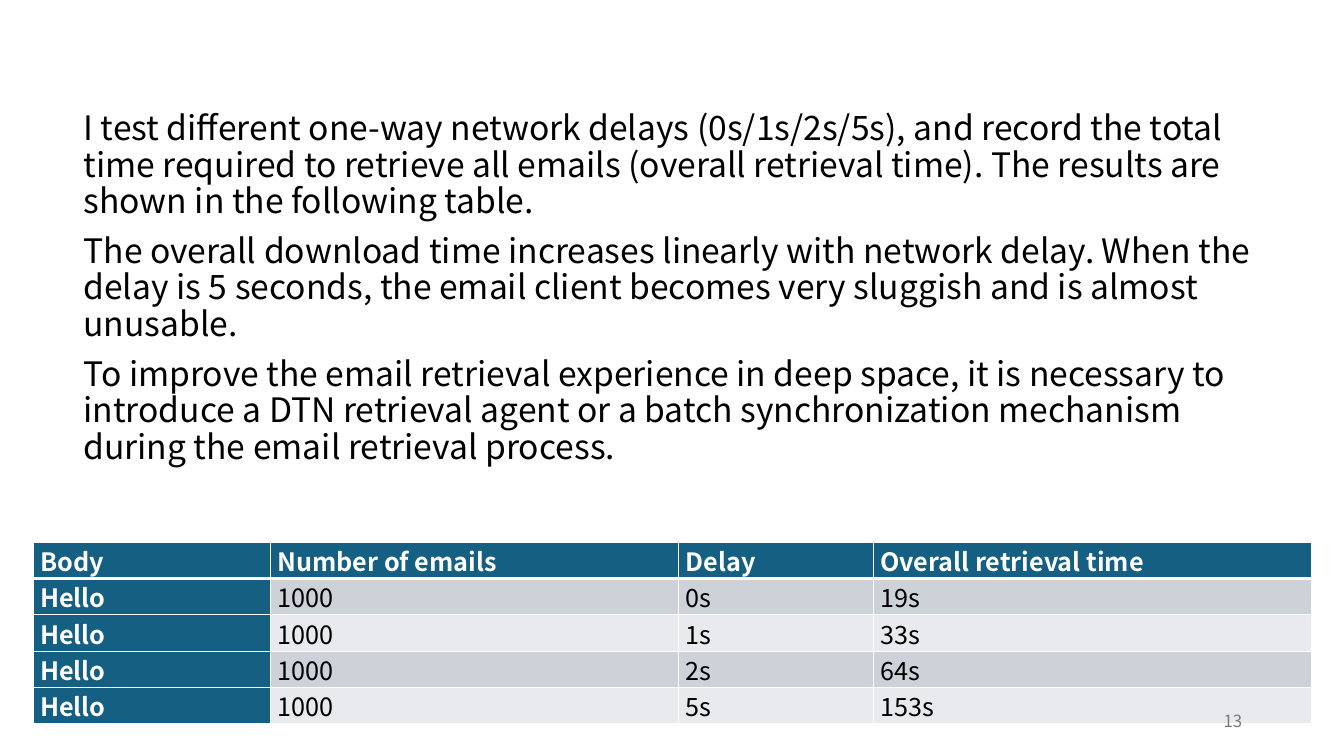
import pptx
import pptx.dml.color
import pptx.enum.text
import pptx.oxml
import pptx.oxml.ns
import pptx.util

Inches = pptx.util.Inches
Pt = pptx.util.Pt
RGBColor = pptx.dml.color.RGBColor

FONT = "Noto Sans CJK SC"
BLACK = RGBColor(0x00, 0x00, 0x00)
WHITE = RGBColor(0xFF, 0xFF, 0xFF)
GREY = RGBColor(0x79, 0x79, 0x79)
TEAL = RGBColor(0x15, 0x60, 0x82)
DARK_BAND = RGBColor(0xCC, 0xD2, 0xD8)
LIGHT_BAND = RGBColor(0xE8, 0xEA, 0xED)

FINDINGS = [
    "I test different one-way network delays (0s/1s/2s/5s), and record the total time "
    "required to retrieve all emails (overall retrieval time). The results are shown in "
    "the following table.",
    "The overall download time increases linearly with network delay. When the delay is "
    "5 seconds, the email client becomes very sluggish and is almost unusable.",
    "To improve the email retrieval experience in deep space, it is necessary to introduce "
    "a DTN retrieval agent or a batch synchronization mechanism during the email retrieval "
    "process.",
]
HEADER = ["Body", "Number of emails", "Delay", "Overall retrieval time"]
RETRIEVAL_TIMES = {"0s": "19s", "1s": "33s", "2s": "64s", "5s": "153s"}
COLUMN_WIDTHS = [2.35, 4.05, 1.93, 4.35]
ROW_HEIGHT = 0.36


def format_runs(paragraph, size, color, bold=False):
    """Apply the slide font to every run of a paragraph."""
    for run in paragraph.runs:
        run.font.name = FONT
        run.font.size = Pt(size)
        run.font.bold = bold
        run.font.color.rgb = color


def add_text(slide, left, top, width, height, text, size, color):
    """Add a wrapping text box and return its text frame."""
    box = slide.shapes.add_textbox(Inches(left), Inches(top), Inches(width), Inches(height))
    text_frame = box.text_frame
    text_frame.word_wrap = True
    text_frame.text = text
    for paragraph in text_frame.paragraphs:
        format_runs(paragraph, size, color)
    return text_frame


def add_findings(slide):
    """Add the three paragraphs above the table."""
    text_frame = add_text(slide, 0.73, 1.06, 11.77, 3.32, "\n".join(FINDINGS), 24, BLACK)
    text_frame.margin_right = 0
    for index, paragraph in enumerate(text_frame.paragraphs):
        paragraph.line_spacing = 0.9
        paragraph.space_before = Pt(10 if index else 0)


def set_borders(cell, widths):
    """Draw white cell borders with a width in points for each side."""
    properties = cell._tc.get_or_add_tcPr()
    namespace = pptx.oxml.ns.nsdecls("a")
    for side, width in widths.items():
        properties.append(pptx.oxml.parse_xml(
            f'<a:ln{side} {namespace} w="{Pt(width)}"><a:solidFill>'
            f'<a:srgbClr val="{WHITE}"/></a:solidFill></a:ln{side}>'))


def fill_cell(cell, text, row, column):
    """Write and style one table cell according to its place."""
    heading = row == 0 or column == 0
    cell.text = text
    cell.margin_left = cell.margin_right = Inches(0.07)
    cell.margin_top = cell.margin_bottom = 0
    format_runs(cell.text_frame.paragraphs[0], 18, WHITE if heading else BLACK, heading)
    set_borders(cell, {"L": 1, "R": 1, "T": 3 if row == 1 else 1, "B": 3 if row == 0 else 1})
    cell.fill.solid()
    band = DARK_BAND if row % 2 else LIGHT_BAND
    cell.fill.fore_color.rgb = TEAL if heading else band


def add_results_table(slide):
    """Add the table of retrieval times by network delay."""
    rows = [HEADER] + [["Hello", "1000", delay, time] for delay, time in RETRIEVAL_TIMES.items()]
    frame = slide.shapes.add_table(
        len(rows), len(HEADER), Inches(0.33), Inches(5.38),
        Inches(sum(COLUMN_WIDTHS)), Inches(ROW_HEIGHT * len(rows)))
    table = frame.table
    table.first_col = True
    for column, width in zip(table.columns, COLUMN_WIDTHS):
        column.width = Inches(width)
    for row, texts in enumerate(rows):
        for column, text in enumerate(texts):
            fill_cell(table.cell(row, column), text, row, column)


def add_slide_number(slide):
    """Add the page number at the lower right."""
    text_frame = add_text(slide, 9.42, 6.95, 3, 0.4, "13", 12, GREY)
    text_frame.vertical_anchor = pptx.enum.text.MSO_ANCHOR.MIDDLE
    text_frame.paragraphs[0].alignment = pptx.enum.text.PP_ALIGN.RIGHT


def main():
    """Build and save the slide."""
    presentation = pptx.Presentation()
    presentation.slide_width = Inches(13.33)
    presentation.slide_height = Inches(7.5)
    slide = presentation.slides.add_slide(presentation.slide_layouts[6])
    add_findings(slide)
    add_results_table(slide)
    add_slide_number(slide)
    presentation.save("out.pptx")


if __name__ == "__main__":
    main()
